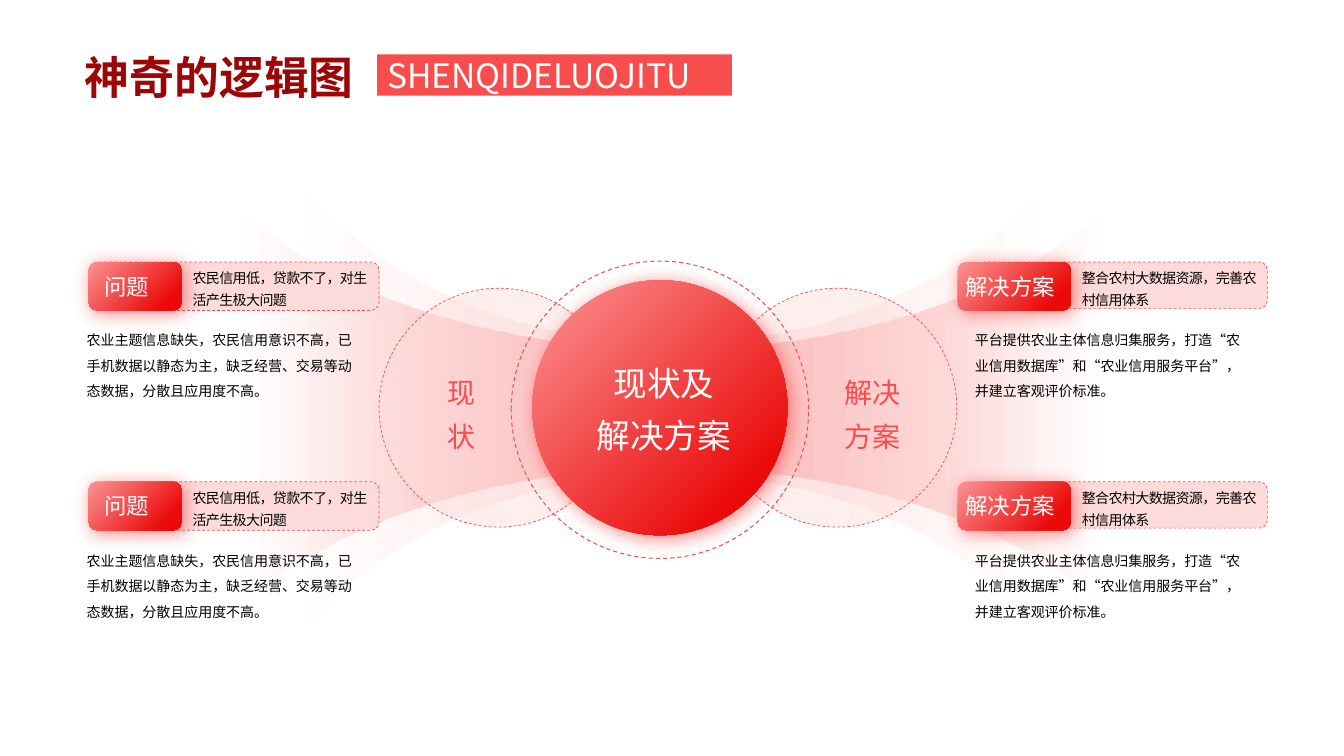
from dataclasses import dataclass

from lxml import etree
from pptx import Presentation
from pptx import util as u
from pptx.dml.color import RGBColor
from pptx.enum import dml, shapes, text
from pptx.oxml import ns

CORAL = RGBColor(0xF8, 0x4D, 0x4D)
BLUSH = RGBColor(0xFE, 0xDB, 0xDB)
ROSE = RGBColor(0xFB, 0x94, 0x94)
SCARLET = RGBColor(0xEB, 0x09, 0x09)
MAROON = RGBColor(0x9C, 0x06, 0x06)
WHITE = RGBColor(0xFF, 0xFF, 0xFF)
BLACK = RGBColor(0, 0, 0)
JP = "Noto Sans CJK JP"
SC = "Noto Sans CJK SC"

CENTER_X, CENTER_Y = 6.67, 4.05
GLOSS = ((0, ROSE, 100), (84, SCARLET, 100))
CENTERED = text.PP_ALIGN.CENTER
OVAL = shapes.MSO_SHAPE.OVAL
ROUNDED = shapes.MSO_SHAPE.ROUNDED_RECTANGLE


@dataclass(frozen=True)
class Box:
    left: float
    top: float
    width: float
    height: float

    def inches(self) -> tuple:
        return tuple(u.Inches(v) for v in (self.left, self.top, self.width, self.height))


@dataclass(frozen=True)
class Flare:
    reach: float
    outer: float
    shoulder: tuple
    waist: float
    bend: tuple
    ease: float
    alpha: int


@dataclass(frozen=True)
class Row:
    panel_top: float
    label_top: float
    detail_top: float


@dataclass(frozen=True)
class Side:
    tag: str
    summary: str
    detail: str
    panel_left: float
    panel_height: float
    tag_left: float
    tag_width: float
    label_left: float
    label_width: float
    summary_left: float
    detail_left: float


@dataclass(frozen=True)
class Caption:
    lines: tuple
    box: Box
    size: int
    font: str
    color: RGBColor


FLARES = (
    Flare(3.645, 2.19, (3.59, 2.12), 0.65, (2.81, 1.23), 1.49, 17),
    Flare(4.25, 1.955, (4.18, 1.88), 0.59, (3.27, 1.11), 1.74, 46),
)
ROWS = (Row(2.6, 2.68, 3.21), Row(4.78, 4.85, 5.4))
SIDES = (
    Side("问题", "农民信用低，贷款不了，对生活产生极大问题",
         "农业主题信息缺失，农民信用意识不高，已手机数据以静态为主，缺乏经营、交易等动态数据，分散且应用度不高。",
         0.88, 0.48, 0.88, 0.92, 0.96, 0.6, 1.88, 0.86),
    Side("解决方案", "整合农村大数据资源，完善农村信用体系",
         "平台提供农业主体信息归集服务，打造“农业信用数据库”和“农业信用服务平台”，并建立客观评价标准。",
         9.69, 0.46, 9.5, 1.12, 9.45, 1.14, 10.7, 9.67),
)
CAPTIONS = (
    Caption(("现状及", "解决方案"), Box(5.72, 3.48, 1.73, 1.02), 24, SC, WHITE),
    Caption(("解决", "方案"), Box(7.99, 3.63, 1.32, 0.85), 20, JP, CORAL),
    Caption(("现", "状"), Box(4.03, 3.63, 1.09, 0.85), 20, JP, CORAL),
)


def add_color(parent, color: RGBColor, alpha: int) -> None:
    tone = etree.SubElement(parent, ns.qn("a:srgbClr"), val=str(color))
    if alpha < 100:
        etree.SubElement(tone, ns.qn("a:alpha"), val=str(alpha * 1000))


def set_gradient(fill, owner, stops: tuple, angle: int) -> None:
    fill.gradient()
    gradient = owner.find(ns.qn("a:gradFill"))
    stop_list = gradient.find(ns.qn("a:gsLst"))
    for stop in list(stop_list):
        stop_list.remove(stop)
    for position, color, alpha in stops:
        stop = etree.SubElement(stop_list, ns.qn("a:gs"), pos=str(position * 1000))
        add_color(stop, color, alpha)
    gradient.find(ns.qn("a:lin")).set("ang", str(angle * 60000))


def add_glow(shape) -> None:
    effects = shape._element.spPr.find(ns.qn("a:effectLst"))
    glow = etree.SubElement(effects, ns.qn("a:outerShdw"), blurRad=str(u.Pt(13)),
                            dist=str(u.Pt(3)), dir=str(45 * 60000), algn="tl", rotWithShape="0")
    add_color(glow, CORAL, 70)


def add_figure(slide, kind, box: Box, fill: RGBColor | None = None, alpha: int = 100,
               dash: float = 0, glossy: bool = False) -> None:
    figure = slide.shapes.add_shape(kind, *box.inches())
    figure.shadow.inherit = False
    if glossy:
        set_gradient(figure.fill, figure._element.spPr, GLOSS, 45)
        add_glow(figure)
    elif fill is None:
        figure.fill.background()
    else:
        figure.fill.solid()
        figure.fill.fore_color.rgb = fill
        if alpha < 100:
            tone = figure._element.spPr.find(ns.qn("a:solidFill"))[0]
            etree.SubElement(tone, ns.qn("a:alpha"), val=str(alpha * 1000))
    if dash:
        figure.line.color.rgb = CORAL
        figure.line.width = u.Pt(dash)
        figure.line.dash_style = dml.MSO_LINE.DASH
    else:
        figure.line.fill.background()


def write(holder, lines: tuple, *, size: float, font: str = JP, color: RGBColor = BLACK,
          bold: bool = False, align=text.PP_ALIGN.LEFT, spacing: float = 1.0,
          anchor=text.MSO_ANCHOR.TOP, margins: tuple = (0, 0), tracking: int = 0) -> None:
    frame = holder.text_frame
    frame.word_wrap = True
    frame.auto_size = text.MSO_AUTO_SIZE.SHAPE_TO_FIT_TEXT
    frame.vertical_anchor = anchor
    frame.margin_left = frame.margin_right = u.Inches(margins[0])
    frame.margin_top = frame.margin_bottom = u.Inches(margins[1])
    for index, line in enumerate(lines):
        paragraph = frame.add_paragraph() if index else frame.paragraphs[0]
        paragraph.alignment = align
        paragraph.line_spacing = spacing
        run = paragraph.add_run()
        run.text = line
        run.font.size = u.Pt(size)
        run.font.bold = bold
        run.font.color.rgb = color
        run.font.name = font
        properties = run._r.get_or_add_rPr()
        etree.SubElement(properties, ns.qn("a:ea"), typeface=font)
        if tracking:
            properties.set("spc", str(tracking))


def add_text(slide, box: Box, lines: tuple, **style) -> None:
    write(slide.shapes.add_textbox(*box.inches()), lines, **style)


def add_flare(slide, flare: Flare) -> None:
    r, o, w, e = flare.reach, flare.outer, flare.waist, flare.ease
    (sx, sy), (bx, by) = flare.shoulder, flare.bend
    corners = [(r, -o), (r, o), (sx, sy), (0, w), (-sx, sy),
               (-r, o), (-r, -o), (-sx, -sy), (0, -w), (sx, -sy)]
    bends = {2: ((bx, by), (e, w)), 3: ((-e, w), (-bx, by)),
             7: ((-bx, -by), (-e, -w)), 8: ((e, -w), (bx, -by))}

    def turned(point: tuple) -> tuple:
        return u.Inches(CENTER_X + point[1]), u.Inches(CENTER_Y - point[0])

    builder = slide.shapes.build_freeform(*turned(corners[0]))
    builder.add_line_segments([turned(corner) for corner in corners[1:]], close=True)
    figure = builder.convert_to_shape()
    segments = list(figure._element.spPr.iter(ns.qn("a:lnTo")))
    for index, handles in bends.items():
        segment = segments[index]
        curve = etree.Element(ns.qn("a:cubicBezTo"))
        for handle in handles:
            x, y = turned(handle)
            etree.SubElement(curve, ns.qn("a:pt"), x=str(x - figure.left), y=str(y - figure.top))
        curve.append(segment[0])
        segment.getparent().replace(segment, curve)
    figure.rotation = 90
    figure.shadow.inherit = False
    figure.line.fill.background()
    stops = ((0, CORAL, 0), (49, CORAL, flare.alpha), (100, CORAL, 0))
    set_gradient(figure.fill, figure._element.spPr, stops, 90)


def add_card(slide, side: Side, row: Row) -> None:
    top = row.panel_top
    middle = dict(anchor=text.MSO_ANCHOR.MIDDLE, margins=(0.03, 0.03))
    add_figure(slide, ROUNDED, Box(side.panel_left, top, 2.88, side.panel_height), BLUSH, dash=0.5)
    add_text(slide, Box(side.summary_left, top, 1.81, 0.48), (side.summary,),
             size=10, spacing=1.3, tracking=-40, **middle)
    add_figure(slide, ROUNDED, Box(side.tag_left, top, side.tag_width, 0.48), glossy=True)
    add_text(slide, Box(side.label_left, row.label_top, side.label_width, 0.33), (side.tag,),
             size=16, color=WHITE, align=CENTERED, **middle)
    add_text(slide, Box(side.detail_left, row.detail_top, 2.63, 0.73), (side.detail,),
             size=10, spacing=1.5)


def add_heading(slide) -> None:
    title = slide.shapes.title
    title.left, title.top, title.width, title.height = Box(0.74, 0.44, 3.47, 0.64).inches()
    write(title, ("神奇的逻辑图",), size=32, font=SC, bold=True, margins=(0.1, 0.05))
    run = title.text_frame.paragraphs[0].runs[0]
    set_gradient(run.font.fill, run._r.rPr, ((0, MAROON, 100), (100, CORAL, 100)), 225)
    add_figure(slide, shapes.MSO_SHAPE.RECTANGLE, Box(3.74, 0.54, 3.52, 0.41), CORAL)
    add_text(slide, Box(3.74, 0.49, 3.52, 0.5), ("SHENQIDELUOJITU",), size=24, color=WHITE,
             align=text.PP_ALIGN.JUSTIFY, anchor=text.MSO_ANCHOR.MIDDLE, margins=(0.1, 0.05))


def main() -> None:
    deck = Presentation()
    deck.slide_width, deck.slide_height = u.Inches(13.33), u.Inches(7.5)
    slide = deck.slides.add_slide(deck.slide_layouts[5])
    for flare in FLARES:
        add_flare(slide, flare)
    for left in (3.76, 7.12):
        add_figure(slide, OVAL, Box(left, 2.86, 2.37, 2.37), BLUSH, alpha=43, dash=0.5)
    add_figure(slide, OVAL, Box(5.28, 2.78, 2.53, 2.53), glossy=True)
    add_figure(slide, OVAL, Box(5.07, 2.59, 2.95, 2.95), dash=0.75)
    for caption in CAPTIONS:
        add_text(slide, caption.box, caption.lines, size=caption.size, font=caption.font,
                 color=caption.color, align=CENTERED, spacing=1.3)
    for side in SIDES:
        for row in ROWS:
            add_card(slide, side, row)
    add_heading(slide)
    deck.save("out.pptx")


if __name__ == "__main__":
    main()
